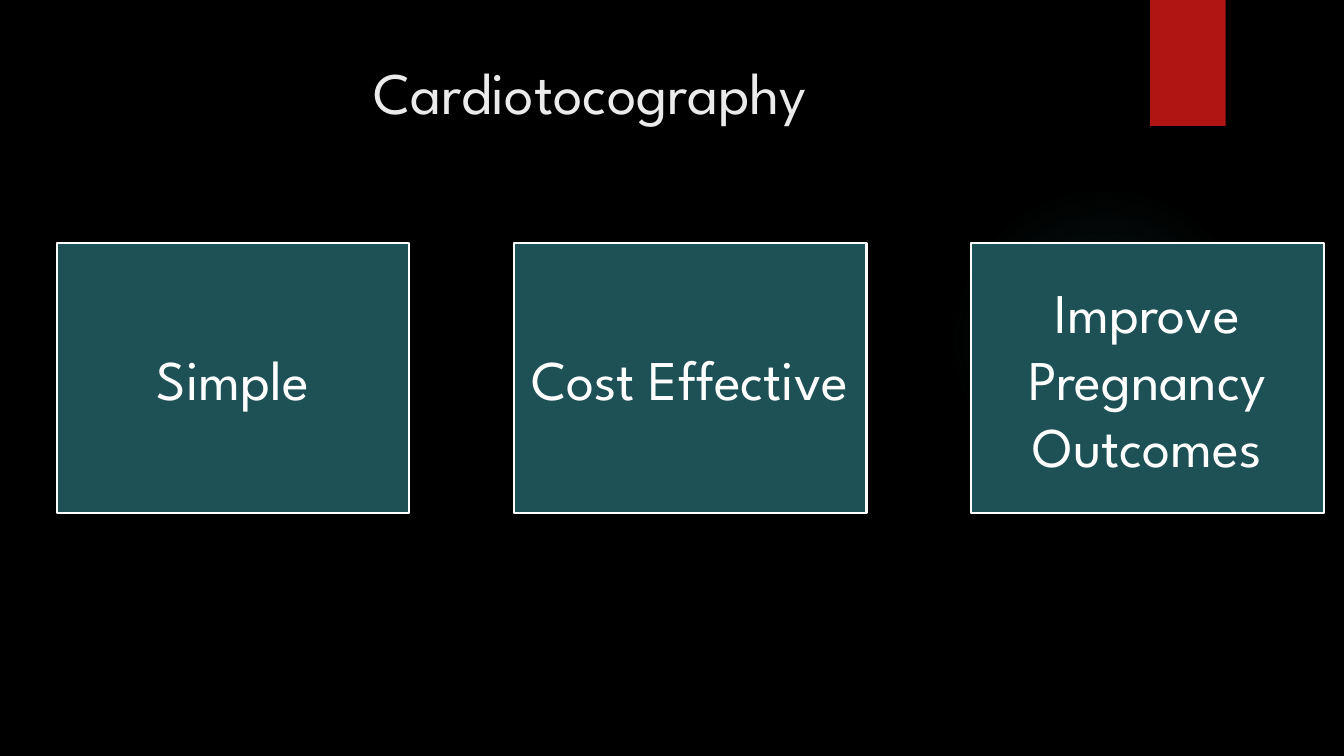
from dataclasses import dataclass

from lxml import etree
from pptx import Presentation
from pptx.dml.color import RGBColor
from pptx.enum import shapes, text
from pptx.oxml import ns
from pptx.util import Pt


@dataclass(frozen=True)
class Theme:
    font: str = "League Spartan"
    title_size: int = 42
    card_size: int = 40
    background: str = "000000"
    title: str = "EBEBEB"
    ribbon: str = "B01513"
    card: str = "1E5155"
    card_text: str = "FFFFFF"
    glow: str = "50B9C1"


THEME = Theme()
GLOW_STOPS = ((0, 7), (36, 6), (69, 0))


def rgb(value):
    return RGBColor.from_string(value)


def add_block(s, kind, box, color):
    sp = s.shapes.add_shape(kind, *map(Pt, box))
    sp.shadow.inherit = False
    sp.fill.solid()
    sp.fill.fore_color.rgb = rgb(color)
    sp.line.fill.background()
    return sp


def write(sp, words, size, color, anchor):
    tf = sp.text_frame
    tf.word_wrap = True
    tf.vertical_anchor = anchor
    p = tf.paragraphs[0]
    p.text = words
    p.alignment = text.PP_ALIGN.CENTER
    p.font.name = THEME.font
    p.font.size = Pt(size)
    p.font.color.rgb = rgb(color)


def add_glow(s, box):
    sp = add_block(s, shapes.MSO_SHAPE.OVAL, box, THEME.glow)
    stops = "".join(
        f'<a:gs pos="{pos * 1000}"><a:srgbClr val="{THEME.glow}">'
        f'<a:alpha val="{alpha * 1000}"/></a:srgbClr></a:gs>'
        for pos, alpha in GLOW_STOPS
    )
    gradient = etree.fromstring(
        f'<a:gradFill {ns.nsdecls("a")} rotWithShape="1"><a:gsLst>{stops}</a:gsLst>'
        '<a:path path="circle"><a:fillToRect l="50000" t="50000" r="50000" b="50000"/>'
        "</a:path></a:gradFill>"
    )
    spPr = sp.element.spPr
    spPr.replace(spPr.find(ns.qn("a:solidFill")), gradient)


def add_title(s, box, words):
    sp = s.shapes.add_textbox(*map(Pt, box))
    write(sp, words, THEME.title_size, THEME.title, text.MSO_ANCHOR.TOP)


def add_cards(s, box, labels, card_width):
    left, top, width, height = box
    pitch = (width - card_width) / (len(labels) - 1)
    for i, label in enumerate(labels):
        card = (left + i * pitch, top, card_width, height)
        sp = add_block(s, shapes.MSO_SHAPE.RECTANGLE, card, THEME.card)
        sp.line.color.rgb = rgb(THEME.card_text)
        sp.line.width = Pt(1.5)
        write(sp, label, THEME.card_size, THEME.card_text, text.MSO_ANCHOR.MIDDLE)


def main():
    prs = Presentation()
    prs.slide_width, prs.slide_height = Pt(960), Pt(540)
    s = prs.slides.add_slide(prs.slide_layouts[6])
    s.background.fill.solid()
    s.background.fill.fore_color.rgb = rgb(THEME.background)

    add_glow(s, (677.5, 132, 222, 222))
    add_block(s, shapes.MSO_SHAPE.RECTANGLE, (821.5, 0, 54, 90), THEME.ribbon)
    add_title(s, (51, 36, 741, 110), "Cardiotocography")
    labels = ("Simple", "Cost Effective", "Improve Pregnancy Outcomes")
    add_cards(s, (40.5, 173.5, 905, 193), labels, 252)
    prs.save("out.pptx")


if __name__ == "__main__":
    main()
